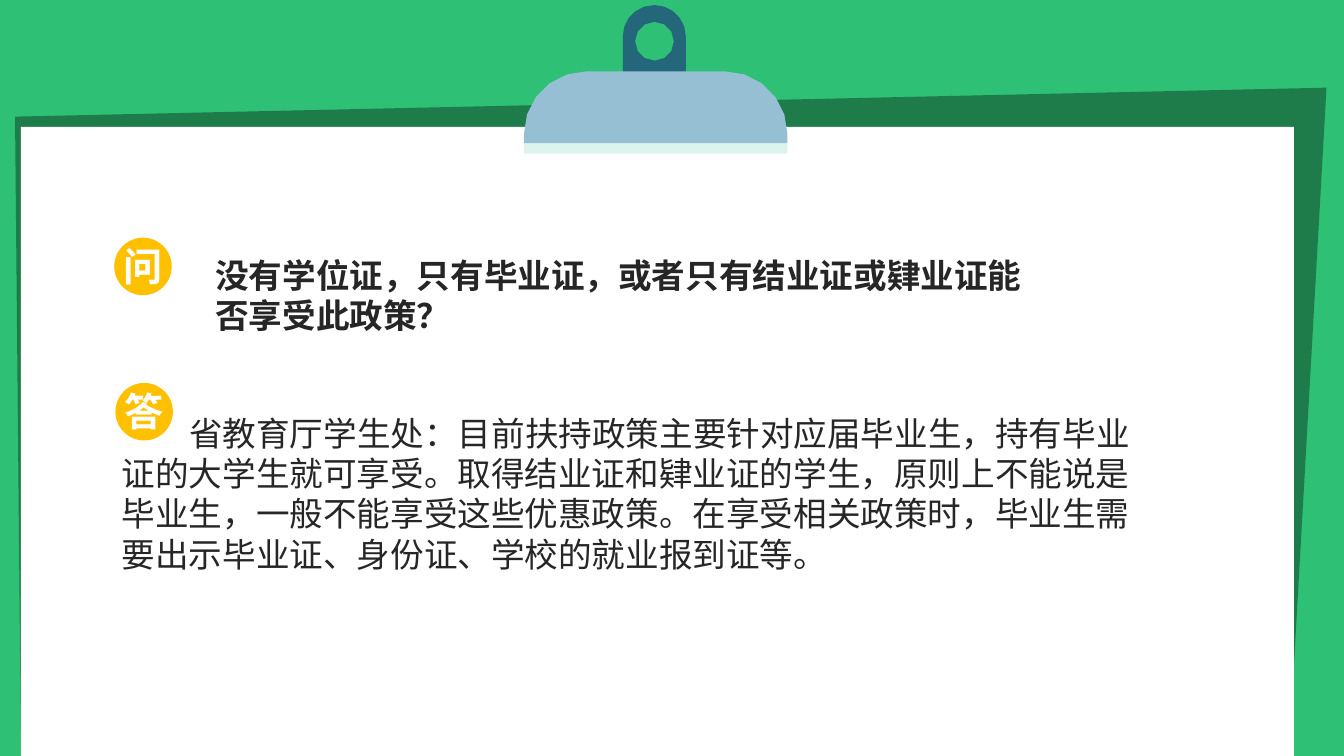
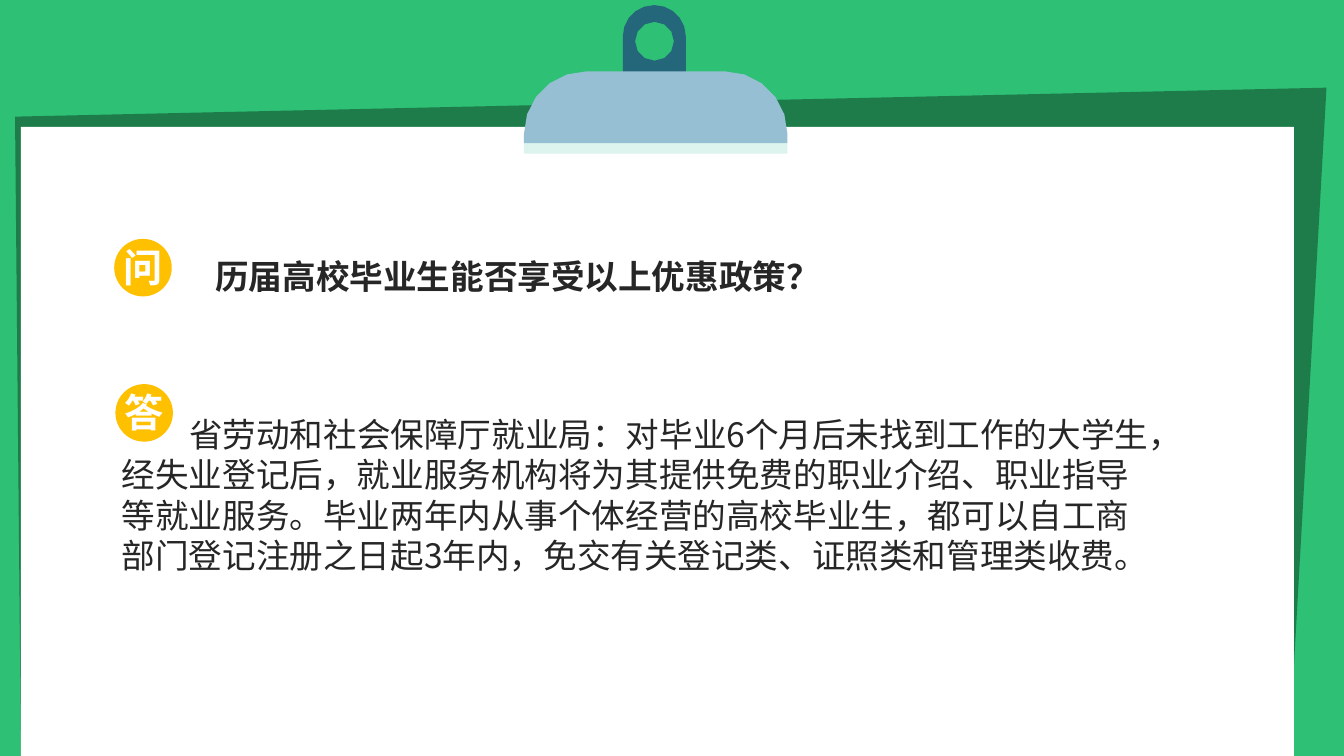
from math import cos, pi, sin

from pptx import Presentation
from pptx.dml.color import RGBColor
from pptx.enum.lang import MSO_LANGUAGE_ID
from pptx.enum.shapes import MSO_SHAPE
from pptx.enum.text import MSO_ANCHOR, PP_ALIGN
from pptx.oxml.ns import qn
from pptx.util import Cm, Pt
from lxml.etree import SubElement

# Content: question, answer and the small vertical shift (cm) of each slide
PAGES = [
    {
        "question": "没有学位证，只有毕业证，或者只有结业证或肄业证能否享受此政策？",
        "answer": "省教育厅学生处：目前扶持政策主要针对应届毕业生，持有毕业证的大学生就可享受。"
                  "取得结业证和肄业证的学生，原则上不能说是毕业生，一般不能享受这些优惠政策。"
                  "在享受相关政策时，毕业生需要出示毕业证、身份证、学校的就业报到证等。",
        "shift": 0,
    },
    {
        "question": "历届高校毕业生能否享受以上优惠政策？",
        "answer": "省劳动和社会保障厅就业局：对毕业6个月后未找到工作的大学生，经失业登记后，"
                  "就业服务机构将为其提供免费的职业介绍、职业指导等就业服务。"
                  "毕业两年内从事个体经营的高校毕业生，都可以自工商部门登记注册之日起3年内，"
                  "免交有关登记类、证照类和管理类收费。",
        "shift": 0.03,
    },
]

# Shared style
FONT = "Noto Sans CJK SC"
GREEN = RGBColor(0x2E, 0xC0, 0x74)
DARK_GREEN = RGBColor(0x1E, 0x7C, 0x4B)
WHITE = RGBColor(0xFF, 0xFF, 0xFF)
TEAL = RGBColor(0x24, 0x66, 0x7A)
MINT = RGBColor(0xDC, 0xF4, 0xED)
PALE_BLUE = RGBColor(0x97, 0xBF, 0xD3)
AMBER = RGBColor(0xFF, 0xC0, 0x00)
INK = RGBColor(0x26, 0x26, 0x26)

# Shared geometry, in cm
WIDTH, HEIGHT = 33.88, 19.05
BOARD = [(0.38, 2.94), (33.44, 2.21), (32.49, HEIGHT), (0.53, HEIGHT)]
SHEET = (0.53, 3.2, 32.09, HEIGHT - 3.2)
BADGE_SIZE = 1.45


def paint(shape, color):
    shape.shadow.inherit = False
    shape.fill.solid()
    shape.fill.fore_color.rgb = color
    shape.line.fill.background()


def add_outline(slide, contours, color):
    """Draw closed contours as one shape; an inner contour makes a hole."""
    points = [[(Cm(x), Cm(y)) for x, y in contour] for contour in contours]
    builder = slide.shapes.build_freeform(*points[0][0], scale=1.0)
    builder.add_line_segments(points[0][1:], close=True)
    for contour in points[1:]:
        builder.move_to(*contour[0])
        builder.add_line_segments(contour[1:], close=True)
    paint(builder.convert_to_shape(), color)


def arc(center_x, center_y, radius, start, end, steps=5):
    """Points along a circle, with angles in half turns."""
    angles = [pi * (start + (end - start) * i / steps) for i in range(steps + 1)]
    return [(center_x + radius * cos(a), center_y + radius * sin(a)) for a in angles]


def arch(left, top, width, height, radius):
    """Rectangle with both upper corners rounded."""
    right, bottom = left + width, top + height
    return (
        [(left, bottom)]
        + arc(left + radius, top + radius, radius, 1, 1.5)
        + arc(right - radius, top + radius, radius, 1.5, 2)
        + [(right, bottom)]
    )


def add_shape(slide, kind, box, color):
    shape = slide.shapes.add_shape(kind, *map(Cm, box))
    paint(shape, color)
    return shape


def write(shape, text, size=24, color=INK, bold=False, align=PP_ALIGN.LEFT,
          anchor=MSO_ANCHOR.TOP, leading=1.2, indent=0.0, inset=(0.25, 0.13)):
    frame = shape.text_frame
    frame.word_wrap = True
    frame.vertical_anchor = anchor
    frame.margin_left = frame.margin_right = Cm(inset[0])
    frame.margin_top = frame.margin_bottom = Cm(inset[1])
    paragraph = frame.paragraphs[0]
    paragraph.alignment = align
    paragraph.line_spacing = Pt(size * leading)
    paragraph._p.get_or_add_pPr().set("indent", str(Cm(indent)))
    run = paragraph.add_run()
    run.text = text
    font = run.font
    font.name, font.size, font.bold = FONT, Pt(size), bold
    font.color.rgb = color
    font.language_id = MSO_LANGUAGE_ID.SIMPLIFIED_CHINESE
    SubElement(run._r.get_or_add_rPr(), qn("a:ea"), typeface=FONT)


def add_text(slide, box, text, **style):
    write(slide.shapes.add_textbox(*map(Cm, box)), text, **style)


def add_badge(slide, left, top, text):
    box = (left, top, BADGE_SIZE, BADGE_SIZE)
    badge = add_shape(slide, MSO_SHAPE.OVAL, box, AMBER)
    write(badge, text, size=28, color=WHITE, bold=True, align=PP_ALIGN.CENTER,
          anchor=MSO_ANCHOR.MIDDLE, leading=1.15, inset=(0, 0))


def add_clipboard(slide):
    add_outline(slide, [BOARD], DARK_GREEN)
    add_shape(slide, MSO_SHAPE.RECTANGLE, SHEET, WHITE)
    # Clip: ring, light lip and clamp
    ring_hole = arc(16.5, 1.04, 0.49, 0, 2, steps=12)[:-1]
    add_outline(slide, [arch(15.7, 0.13, 1.59, 2.35, 0.79), ring_hole], TEAL)
    for top, color in ((2.06, MINT), (1.8, PALE_BLUE)):
        add_outline(slide, [arch(13.21, top, 6.64, 1.81, 1.57)], color)


def add_page(presentation, question, answer, shift):
    slide = presentation.slides.add_slide(presentation.slide_layouts[6])
    add_clipboard(slide)
    add_text(slide, (2.82, 10.27 + shift, 26.42, 4.32), answer, indent=1.7)
    add_text(slide, (5.18, 6.29 + shift, 21.29, 2.3), question, bold=True)
    add_badge(slide, 2.88, 5.99 + shift, "问")
    add_badge(slide, 2.91, 9.65 + shift, "答")


def main():
    presentation = Presentation()
    presentation.slide_width, presentation.slide_height = Cm(WIDTH), Cm(HEIGHT)
    background = presentation.slide_master.background.fill
    background.solid()
    background.fore_color.rgb = GREEN
    for page in PAGES:
        add_page(presentation, **page)
    presentation.save("out.pptx")


if __name__ == "__main__":
    main()
